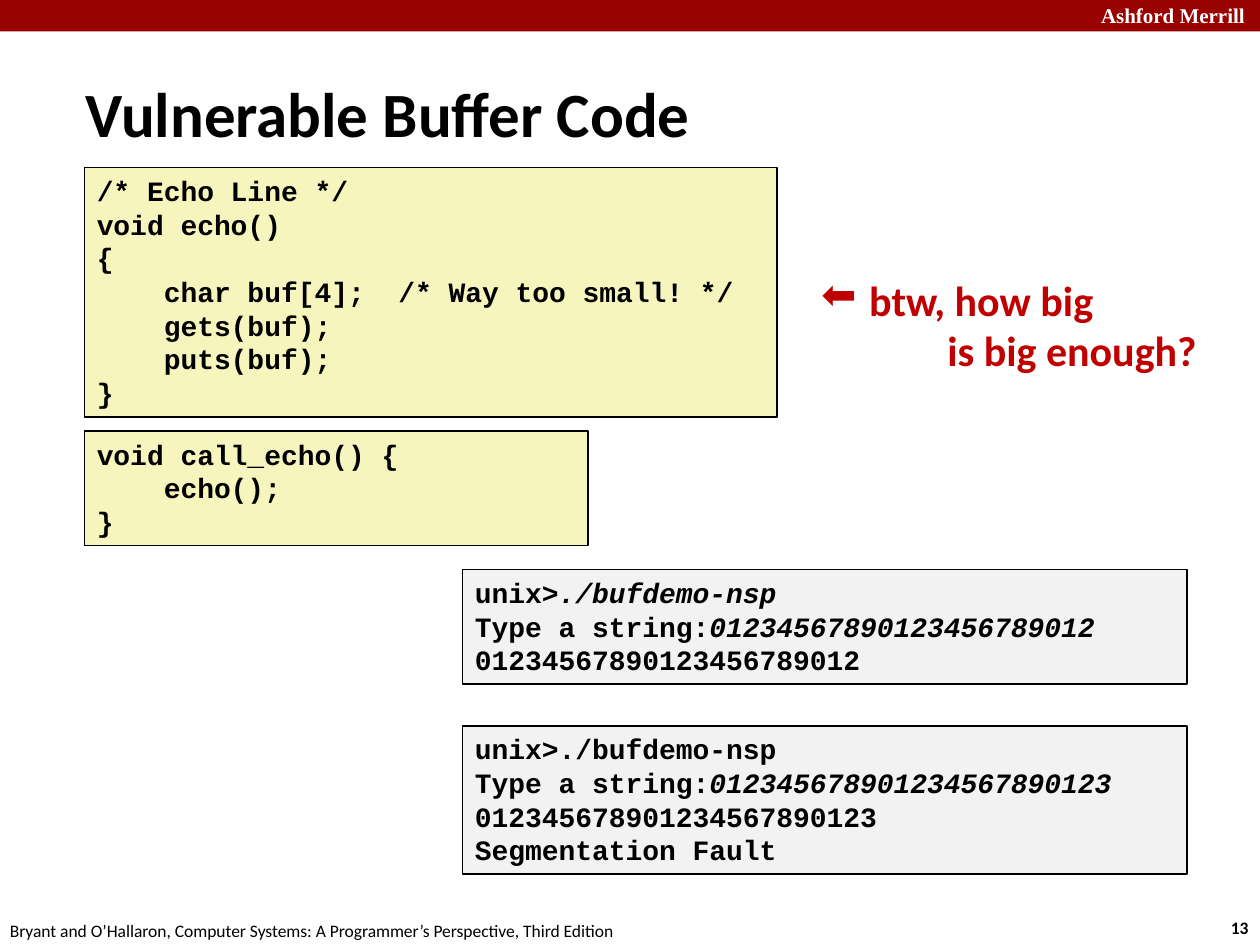
from dataclasses import dataclass

from lxml import etree
from pptx import Presentation
from pptx import util as u
from pptx.dml.color import RGBColor
from pptx.enum import shapes, text
from pptx.oxml.ns import qn


@dataclass(frozen=True)
class Theme:
    black: str = "000000"
    white: str = "FFFFFF"
    banner: str = "990000"
    accent: str = "C00000"
    source_fill: str = "F6F5BD"
    terminal_fill: str = "F2F2F2"
    body: str = "Calibri"
    code: str = "Courier New"
    serif: str = "Times New Roman"
    title_size: int = 36
    note_size: int = 24
    code_size: int = 16
    banner_size: int = 12
    footer_size: int = 10


THEME = Theme()

ECHO = """/* Echo Line */
void echo()
{
    char buf[4];  /* Way too small! */
    gets(buf);
    puts(buf);
}"""

CALL_ECHO = """void call_echo() {
    echo();
}"""

SHORT_INPUT = "01234567890123456789012"
LONG_INPUT = "012345678901234567890123"


def inches(*box):
    return [u.Inches(n) for n in box]


def add_run(p, words, name, size, color=THEME.black, **styles):
    r = p.add_run()
    r.text = words
    formats = {"name": name, "size": u.Pt(size), **styles}
    for key, value in formats.items():
        setattr(r.font, key, value)
    r.font.color.rgb = RGBColor.from_string(color)


def add_box(s, box, fill, outlined=True):
    sp = s.shapes.add_shape(shapes.MSO_SHAPE.RECTANGLE, *inches(*box))
    sp.shadow.inherit = False
    sp.fill.solid()
    sp.fill.fore_color.rgb = RGBColor.from_string(fill)
    if outlined:
        sp.line.color.rgb = RGBColor.from_string(THEME.black)
        sp.line.width = u.Pt(1)
    else:
        sp.line.fill.background()
    return sp


def add_code(s, box, fill, lines):
    """Each line is a (printed, typed) pair; typed input is italic."""
    tf = add_box(s, box, fill).text_frame
    tf.word_wrap = True
    tf.vertical_anchor = text.MSO_ANCHOR.TOP
    for i, parts in enumerate(lines):
        p = tf.add_paragraph() if i else tf.paragraphs[0]
        p.alignment = text.PP_ALIGN.LEFT
        for words, typed in zip(parts, (False, True)):
            if words:
                add_run(p, words, THEME.code, THEME.code_size,
                        bold=True, italic=typed)


def source_lines(code):
    return [(line, "") for line in code.splitlines()]


def add_label(s, box, words, name, size, wrap=False, **styles):
    tf = s.shapes.add_textbox(*inches(*box)).text_frame
    tf.word_wrap = wrap
    add_run(tf.paragraphs[0], words, name, size, **styles)
    return tf


def set_bullet(p, char, indent):
    pPr = p._p.get_or_add_pPr()
    pPr.set("marL", str(u.Inches(indent)))
    pPr.set("indent", str(-u.Inches(indent)))
    etree.SubElement(pPr, qn("a:buChar")).set("char", char)


def set_left_indent(p, indent):
    p._p.get_or_add_pPr().set("marL", str(u.Inches(indent)))


def add_title(s, box, words):
    sp = s.shapes.title
    sp.left, sp.top, sp.width, sp.height = inches(*box)
    tf = sp.text_frame
    tf.auto_size = text.MSO_AUTO_SIZE.NONE
    tf.vertical_anchor = text.MSO_ANCHOR.MIDDLE
    p = tf.paragraphs[0]
    p.alignment = text.PP_ALIGN.LEFT
    add_run(p, words, THEME.body, THEME.title_size, bold=True)


def add_question(s):
    style = {"name": THEME.body, "size": THEME.note_size,
             "color": THEME.accent, "bold": True}
    tf = add_label(s, (6.42, 2.13, 3.21, 0.91), "btw, how big", **style)
    set_bullet(tf.paragraphs[0], "⬅", 0.38)
    p = tf.add_paragraph()
    set_left_indent(p, 1)
    add_run(p, "is big enough?", **style)


def add_frame(s):
    """Banner, page number and book credit."""
    add_box(s, (0, 0, 10, 0.25), THEME.banner, outlined=False)
    add_label(s, (8.64, -0.03, 1.43, 0.3), "Ashford Merrill", THEME.serif,
              THEME.banner_size, wrap=True, color=THEME.white, bold=True)
    add_label(s, (9.67, 7.23, 0.37, 0.27), "13", THEME.body,
              THEME.footer_size, bold=True)
    add_label(s, (-0.02, 7.25, 5.08, 0.27),
              "Bryant and O’Hallaron, Computer Systems: "
              "A Programmer’s Perspective, Third Edition",
              THEME.body, THEME.footer_size)


def main():
    prs = Presentation()
    prs.slide_width, prs.slide_height = inches(10, 7.5)
    s = prs.slides.add_slide(prs.slide_layouts[5])

    add_frame(s)
    add_title(s, (0.58, 0.58, 7.01, 0.63), "Vulnerable Buffer Code")
    add_code(s, (0.67, 3.42, 4, 0.91), THEME.source_fill,
             source_lines(CALL_ECHO))
    add_code(s, (0.67, 1.33, 5.5, 1.98), THEME.source_fill,
             source_lines(ECHO))
    add_code(s, (3.67, 4.52, 5.75, 0.91), THEME.terminal_fill, [
        ("unix>", "./bufdemo-nsp"),
        ("Type a string:", SHORT_INPUT),
        (SHORT_INPUT, ""),
    ])
    add_code(s, (3.67, 5.76, 5.75, 1.18), THEME.terminal_fill, [
        ("unix>./bufdemo-nsp", ""),
        ("Type a string:", LONG_INPUT),
        (LONG_INPUT, ""),
        ("Segmentation Fault", ""),
    ])
    add_question(s)
    prs.save("out.pptx")


if __name__ == "__main__":
    main()
